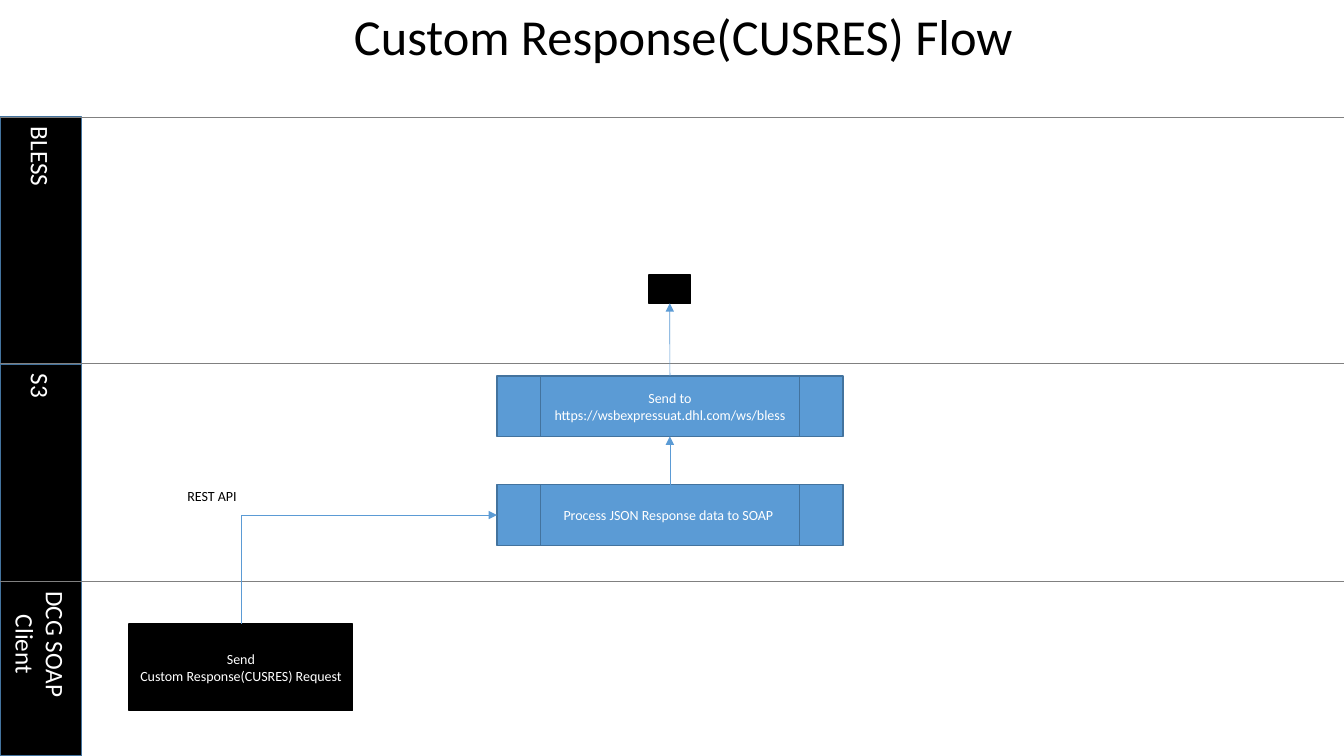
from lxml import etree
from pptx import Presentation, util as u
from pptx.dml.color import RGBColor
from pptx.enum import shapes, text
from pptx.oxml.ns import qn

BLACK = RGBColor(0x00, 0x00, 0x00)
WHITE = RGBColor(0xFF, 0xFF, 0xFF)
BLUE = RGBColor(0x5B, 0x9B, 0xD5)
DARK_BLUE = RGBColor(0x43, 0x73, 0x9E)
GRAY = RGBColor(0x80, 0x80, 0x80)

# The slide is a grid of 100 columns by 100 rows
WIDTH, HEIGHT = u.Inches(13.33), u.Inches(7.5)
LANE_COLUMNS = 6.08
LANE_EDGES = [15.47, 48.13, 76.93, 100]
LANE_NAMES = ["BLESS", "S3", "DCG SOAP Client"]
TOP, LEFT, BOTTOM = 0, 1, 2

RECTANGLE = shapes.MSO_SHAPE.RECTANGLE
PROCESS = shapes.MSO_SHAPE.FLOWCHART_PREDEFINED_PROCESS


def columns(count):
    return round(WIDTH * count / 100)


def rows(count):
    return round(HEIGHT * count / 100)


def place(left, top, width, height):
    return columns(left), rows(top), columns(width), rows(height)


def write(shape, lines, size, color, align=text.PP_ALIGN.CENTER):
    frame = shape.text_frame
    frame.word_wrap = True
    frame.text = "\n".join(lines)
    font_format = {"name": "Calibri", "size": u.Pt(size)}
    for paragraph in frame.paragraphs:
        paragraph.alignment = align
        for run in paragraph.runs:
            for name, value in font_format.items():
                setattr(run.font, name, value)
            run.font.color.rgb = color


def add_label(slide, box, label, size, align):
    shape = slide.shapes.add_textbox(*place(*box))
    write(shape, [label], size, BLACK, align)
    shape.text_frame.auto_size = text.MSO_AUTO_SIZE.SHAPE_TO_FIT_TEXT


def add_block(parent, kind, box, fill, line, lines=(), size=10):
    shape = parent.shapes.add_shape(kind, *place(*box))
    shape.shadow.inherit = False
    shape.fill.solid()
    shape.fill.fore_color.rgb = fill
    shape.line.color.rgb = line
    shape.line.width = u.Pt(1)
    if lines:
        write(shape, lines, size, WHITE)
        shape.text_frame.vertical_anchor = text.MSO_ANCHOR.MIDDLE
    return shape


def add_line(parent, color, ends=(0, 0, 0, 0)):
    line = parent.shapes.add_connector(shapes.MSO_CONNECTOR.STRAIGHT, *ends)
    line.line.color.rgb = color
    line.line.width = u.Pt(0.5)
    etree.SubElement(line._element.spPr, qn("a:effectLst"))
    return line


def add_arrow(slide, source, source_side, target, target_side):
    arrow = add_line(slide, BLUE)
    arrow.begin_connect(source, source_side)
    arrow.end_connect(target, target_side)
    stroke = arrow.line._get_or_add_ln()
    etree.SubElement(stroke, qn("a:tailEnd"), type="triangle")
    return arrow


def bend(arrow):
    """Turn an arrow into one that runs up first and then right."""
    start_x, start_y, end_x, end_y = arrow.begin_x, arrow.begin_y, arrow.end_x, arrow.end_y
    across, rise = end_x - start_x, start_y - end_y
    geometry = {
        "left": (start_x + end_x - rise) // 2,
        "top": (start_y + end_y - across) // 2,
        "width": rise,
        "height": across,
    }
    for name, value in geometry.items():
        setattr(arrow, name, value)
    properties = arrow._element.spPr
    properties.find(qn("a:prstGeom")).set("prst", "bentConnector2")
    for name, value in {"rot": "5400000", "flipH": "1", "flipV": "1"}.items():
        properties.find(qn("a:xfrm")).set(name, value)


def add_lanes(slide):
    group = slide.shapes.add_group_shape()
    for name, top, bottom in zip(LANE_NAMES, LANE_EDGES, LANE_EDGES[1:]):
        box = (0, top, LANE_COLUMNS, bottom - top)
        lane = add_block(group, RECTANGLE, box, BLACK, DARK_BLUE, [name], 18)
        lane.text_frame._txBody.bodyPr.set("vert", "eaVert")
    for edge in LANE_EDGES[:-1]:
        add_line(group, GRAY, (0, rows(edge), WIDTH, rows(edge)))


def main():
    presentation = Presentation()
    presentation.slide_width, presentation.slide_height = WIDTH, HEIGHT
    slide = presentation.slides.add_slide(presentation.slide_layouts[6])

    # Title and swimlanes
    add_label(slide, (0, 0, 101.7, 9.47), "Custom Response(CUSRES) Flow", 36,
              text.PP_ALIGN.CENTER)
    add_lanes(slide)

    # Steps of the flow
    request = add_block(slide, RECTANGLE, (9.6, 82.53, 16.65, 11.47), BLACK, BLACK,
                        ["Send", "Custom Response(CUSRES) Request"])
    process = add_block(slide, PROCESS, (36.98, 64.13, 25.73, 8), BLUE, DARK_BLUE,
                        ["Process JSON Response data to SOAP "])
    send = add_block(slide, PROCESS, (36.98, 49.73, 25.73, 8), BLUE, DARK_BLUE,
                     ["Send to https://wsbexpressuat.dhl.com/ws/bless"])
    endpoint = add_block(slide, RECTANGLE, (48.3, 36.4, 3.08, 3.73), BLACK, BLACK)

    # Arrows between the steps
    bend(add_arrow(slide, request, TOP, process, LEFT))
    add_arrow(slide, process, TOP, send, BOTTOM)
    add_arrow(slide, send, TOP, endpoint, BOTTOM)
    add_label(slide, (13.2, 63.87, 6.53, 3.6), "REST API", 10, text.PP_ALIGN.LEFT)

    presentation.save("out.pptx")


if __name__ == "__main__":
    main()
